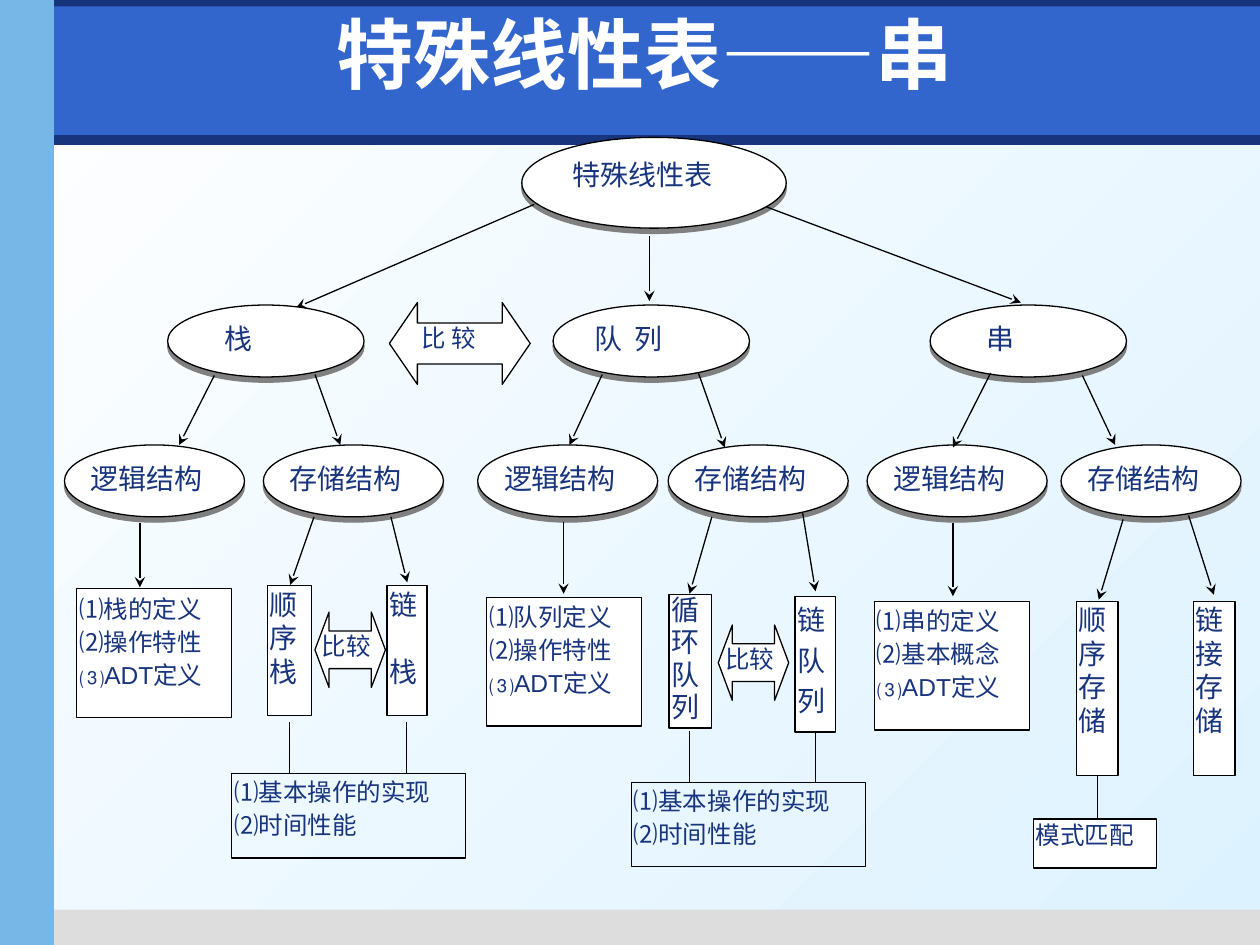
from lxml import etree
from pptx import Presentation
from pptx import util as u
from pptx.dml.color import RGBColor
from pptx.enum import shapes, text
from pptx.oxml import ns

NAVY = RGBColor(0x17, 0x34, 0x7D)
BLUE = RGBColor(0x33, 0x66, 0xCC)
SKY = RGBColor(0x77, 0xB7, 0xE7)
PALE = RGBColor(0xDD, 0xF2, 0xFF)
GREY = RGBColor(0xDD, 0xDD, 0xDD)
SHADE = RGBColor(0x80, 0x80, 0x80)
WHITE = RGBColor(0xFF, 0xFF, 0xFF)
BLACK = RGBColor(0, 0, 0)

KIND = shapes.MSO_SHAPE
TIGHT = (0.05, 0.03, 0.05, 0.03)
FLAT = (0.05, 0, 0.05, 0)
KID = (0, 0.13, 0, 0.13)
NONE = (0, 0, 0, 0)

deck = Presentation()
deck.slide_width, deck.slide_height = u.Cm(25.4), u.Cm(19.05)
slide = deck.slides.add_slide(deck.slide_layouts[6])


def write(shape, words, size=16, font="Arial", color=NAVY, bold=False,
          align=text.PP_ALIGN.JUSTIFY, inset=(0.25, 0.13, 0.25, 0.13),
          lead=None, gap=0):
    frame = shape.text_frame
    frame.word_wrap = True
    frame.vertical_anchor = text.MSO_ANCHOR.TOP
    (frame.margin_left, frame.margin_top,
     frame.margin_right, frame.margin_bottom) = map(u.Cm, inset)
    for i, line in enumerate(words.split("\n")):
        para = frame.add_paragraph() if i else frame.paragraphs[0]
        para.alignment = align
        if lead:
            para.line_spacing = lead
        if i and gap:
            para.space_before = u.Pt(gap)
        run = para.add_run()
        run.text = line
        run.font.size, run.font.name, run.font.bold = u.Pt(size), font, bold
        run.font.color.rgb = color
    return shape


def shade(effect, color, dist, angle):
    drop = etree.SubElement(effect, ns.qn("a:outerShdw"), blurRad="0",
                            dist=str(u.Pt(dist)), dir=str(angle * 60000),
                            algn="ctr", rotWithShape="0")
    etree.SubElement(drop, ns.qn("a:srgbClr"), val=str(color))


def block(kind, box, fill=WHITE, line=BLACK):
    shape = slide.shapes.add_shape(kind, *map(u.Cm, box))
    shape.shadow.inherit = False
    if fill is None:
        shape.fill.background()
    else:
        shape.fill.solid()
        shape.fill.fore_color.rgb = fill
    if line is None:
        shape.line.fill.background()
    else:
        shape.line.color.rgb = line
        shape.line.width = u.Pt(0.75)
    return shape


def oval(box, words, **look):
    shape = block(KIND.OVAL, box)
    shade(shape._element.spPr.find(ns.qn("a:effectLst")), SHADE, 3, 90)
    return write(shape, words, **look)


def card(box, words, fill=WHITE, **look):
    return write(block(KIND.RECTANGLE, box, fill), words, **look)


def versus(box, words, head, **look):
    shape = block(KIND.LEFT_RIGHT_ARROW, box)
    shape.adjustments[0], shape.adjustments[1] = 0.5, head
    return write(shape, words, size=14, **look)


def link(x1, y1, x2, y2, arrow=True):
    line = slide.shapes.add_connector(shapes.MSO_CONNECTOR.STRAIGHT,
                                      *map(u.Cm, (x1, y1, x2, y2)))
    line.line.color.rgb = BLACK
    line.line.width = u.Pt(0.75)
    if arrow:
        etree.SubElement(line.line._get_or_add_ln(), ns.qn("a:tailEnd"),
                         type="stealth")
    etree.SubElement(line._element.spPr, ns.qn("a:effectLst"))


def backdrop(wide, high):
    fill = slide.background.fill
    fill.gradient()
    fill.gradient_angle = 315
    for stop, color in zip(fill.gradient_stops, (WHITE, PALE)):
        stop.color.rgb = color
    side = 1.09
    for box, color in (
            ((side, 2.72, wide - side, 0.2), NAVY),
            ((side, high - 0.71, wide - side, 0.71), GREY),
            ((0, 0, wide, 0.53), NAVY),
            ((side, 0.13, wide - side, 2.59), BLUE),
            ((0, 0, side, high), SKY)):
        block(KIND.RECTANGLE, box, color, None)


def title(box, words):
    area = slide.shapes.add_textbox(*map(u.Cm, box))
    write(area, words, size=44, font="DejaVu Sans", color=WHITE, bold=True,
          align=text.PP_ALIGN.CENTER)
    props = area.text_frame.paragraphs[0].runs[0].font._element
    effect = etree.Element(ns.qn("a:effectLst"))
    shade(effect, GREY, 3, 45)
    props.find(ns.qn("a:solidFill")).addnext(effect)


def root(x, y):
    oval((x, y, 5.33, 1.83), "特殊线性表")
    for line in ((0.25, 1.35, -4.55, 3.43), (2.57, 1.98, 2.57, 3.3),
                 (4.93, 1.4, 10.06, 3.33)):
        link(x + line[0], y + line[1], x + line[2], y + line[3])


def branch(x, y, name, head, store, facts, fact, slims, arrows, nudge=0):
    oval((x + head, y, 3.96, 1.45), name,
         inset=(0.25 + nudge, 0.13, 0.25, 0.13))
    for dx, label in ((0, "逻辑结构"), (store, "存储结构")):
        oval((x + dx, y + 2.82, 3.63, 1.45), label, inset=KID)
    card((x + fact[0], y + fact[1], 3.12, 2.6), facts, size=14, lead=1.12,
         inset=TIGHT)
    for (dx, dy, w, h), words, look in slims:
        card((x + dx, y + dy, w, h), words, **look)
    for x1, y1, x2, y2 in arrows:
        link(x + x1, y + y1, x + x2, y + y2)


def summary(x, y, ties):
    card((x, y, 4.72, 1.7), "⑴基本操作的实现\n⑵时间性能", fill=None, size=14,
         lead=1.12, inset=FLAT)
    for dx in ties:
        link(x + dx, y - 1.04, x + dx, y, arrow=False)


def matching(x, y):
    card((x, y, 2.49, 0.99), "模式匹配", size=14, inset=TIGHT)
    link(x + 1.3, y - 0.88, x + 1.3, y, arrow=False)


backdrop(25.4, 19.05)
root(10.52, 2.77)
branch(1.3, 6.15, "栈", 2.08, 4.01, "⑴栈的定义\n⑵操作特性\n⑶ADT定义",
       (0.25, 5.72),
       [((4.09, 5.66, 0.89, 2.62), "顺序栈", dict(inset=TIGHT)),
        ((6.5, 5.66, 0.81, 2.62), "链\n栈", dict(inset=TIGHT, gap=19.4))],
       [(3.02, 1.42, 2.31, 2.82), (5.05, 1.4, 5.56, 2.82),
        (1.52, 4.39, 1.52, 5.69), (5.03, 4.27, 4.55, 5.64),
        (6.58, 4.27, 6.91, 5.59)], nudge=0.31)
branch(9.63, 6.15, "队  列", 1.52, 3.84, "⑴队列定义\n⑵操作特性\n⑶ADT定义",
       (0.18, 5.89),
       [((3.86, 5.84, 0.86, 2.69), "循环队列", dict(inset=FLAT, lead=0.96)),
        ((6.4, 5.87, 0.81, 2.74), "链队列", dict(inset=FLAT, lead=1.2))],
       [(2.51, 1.4, 1.85, 2.82), (4.45, 1.37, 4.98, 2.87),
        (1.73, 4.37, 1.73, 5.82), (4.72, 4.27, 4.27, 5.82),
        (6.55, 4.19, 6.81, 5.77)])
branch(17.48, 6.15, "串", 1.27, 3.91, "⑴串的定义\n⑵基本概念\n⑶ADT定义",
       (0.15, 5.97),
       [((4.22, 5.97, 0.84, 3.51), "顺序存储", dict(inset=TIGHT)),
        ((6.58, 5.97, 0.84, 3.51), "链接存储", dict(inset=TIGHT))],
       [(2.49, 1.37, 1.73, 2.87), (4.34, 1.42, 5, 2.82),
        (1.73, 4.39, 1.73, 5.87), (5.16, 4.32, 4.67, 5.94),
        (6.48, 4.24, 6.99, 5.84)], nudge=0.31)
versus((7.85, 6.1, 2.84, 1.65), "比 较", 0.343, inset=(0.36, 0, 0.25, 0))
for left, top in ((6.35, 12.34), (14.48, 12.6)):
    versus((left, top, 1.42, 1.52), "比较", 0.2, inset=NONE)
summary(4.67, 15.6, (1.17, 3.53))
summary(12.73, 15.77, (1.17, 3.71))
matching(20.83, 16.51)
title((5.36, 0, 15.29, 2.13), "特殊线性表——串")
deck.save("out.pptx")
